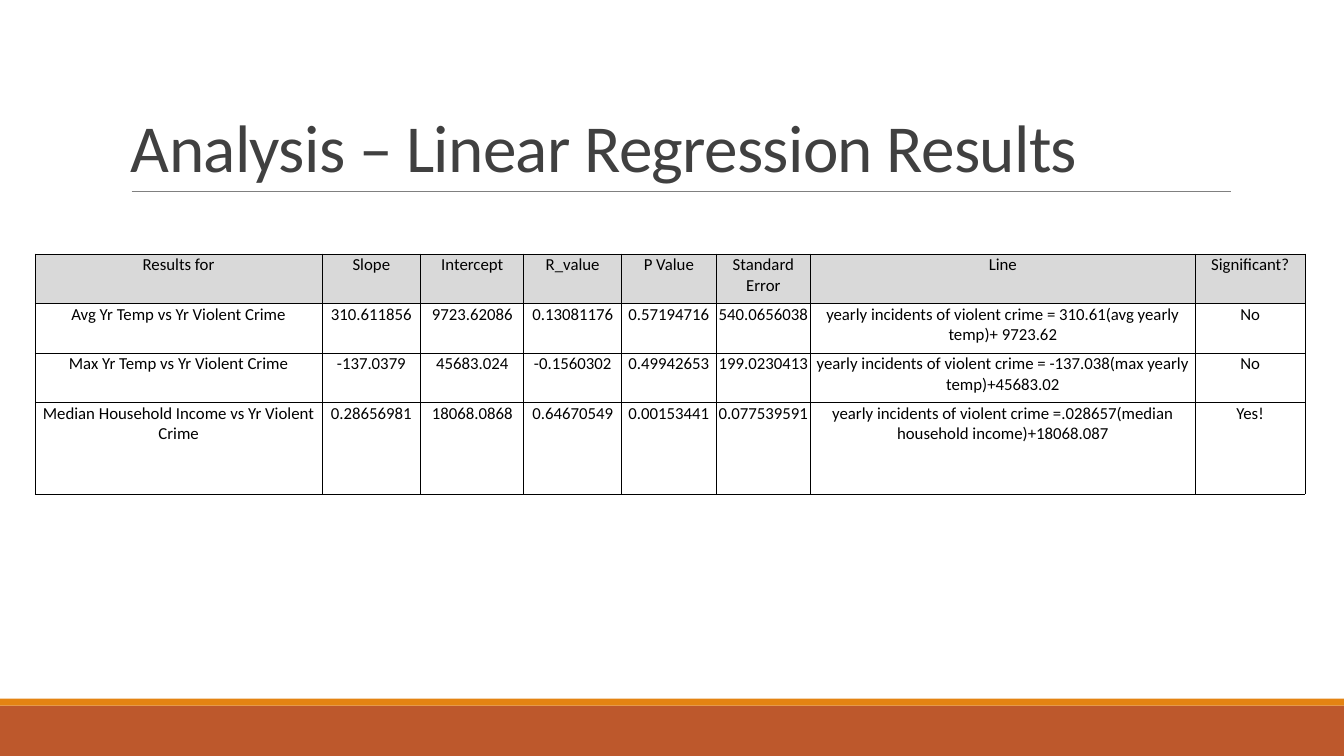
from pptx import Presentation
from pptx.dml.color import RGBColor
from pptx.enum.shapes import MSO_CONNECTOR, MSO_SHAPE
from pptx.enum.text import MSO_ANCHOR, PP_ALIGN
from pptx.oxml import parse_xml
from pptx.oxml.ns import nsdecls
from pptx.util import Pt
from lxml.etree import SubElement

BLACK = RGBColor(0x00, 0x00, 0x00)
TITLE_GRAY = RGBColor(0x40, 0x40, 0x40)
RULE_GRAY = RGBColor(0x80, 0x80, 0x80)
HEADER_GRAY = RGBColor(0xD9, 0xD9, 0xD9)
RUST = RGBColor(0xBD, 0x58, 0x2C)
ORANGE = RGBColor(0xE4, 0x83, 0x12)


def write_text(text_frame, text, size, color, align=PP_ALIGN.LEFT, line_spacing=1.0, tracking=0):
    text_frame.word_wrap = True
    paragraph = text_frame.paragraphs[0]
    paragraph.alignment = align
    paragraph.line_spacing = line_spacing
    run = paragraph.add_run()
    run.text = text
    run.font.name = "Calibri"
    run.font.size = Pt(size)
    run.font.color.rgb = color
    if tracking:
        run.font._element.set("spc", str(round(tracking * 100)))


def add_borders(cell, color, width):
    properties = cell._tc.get_or_add_tcPr()
    for index, side in enumerate(("lnL", "lnR", "lnT", "lnB")):
        border = parse_xml(
            f'<a:{side} {nsdecls("a")} w="{Pt(width)}"><a:solidFill>'
            f'<a:srgbClr val="{color}"/></a:solidFill></a:{side}>'
        )
        properties.insert(index, border)


presentation = Presentation()
presentation.slide_width = Pt(960)
presentation.slide_height = Pt(540)
slide = presentation.slides.add_slide(presentation.slide_layouts[6])

for top, height, color in ((504, 36, RUST), (499, 5, ORANGE)):
    band = slide.shapes.add_shape(MSO_SHAPE.RECTANGLE, Pt(0), Pt(top), Pt(960), Pt(height))
    band.shadow.inherit = False
    band.fill.solid()
    band.fill.fore_color.rgb = color
    band.line.fill.background()

title_rule = slide.shapes.add_connector(MSO_CONNECTOR.STRAIGHT, Pt(94), Pt(136.8), Pt(879), Pt(136.8))
title_rule.line.color.rgb = RULE_GRAY
title_rule.line.width = Pt(0.5)
SubElement(title_rule._element.spPr, "{http://schemas.openxmlformats.org/drawingml/2006/main}effectLst")

title = slide.shapes.add_textbox(Pt(86.4), Pt(22.5), Pt(792), Pt(114.3))
title.text_frame.vertical_anchor = MSO_ANCHOR.BOTTOM
write_text(title.text_frame, "Analysis – Linear Regression Results", size=48, color=TITLE_GRAY,
           line_spacing=0.85, tracking=-0.5)

results = (
    ("Results for", "Slope", "Intercept", "R_value", "P Value", "Standard Error", "Line", "Significant?"),
    ("Avg Yr Temp vs Yr Violent Crime", "310.611856", "9723.62086", "0.13081176", "0.57194716",
     "540.0656038", "yearly incidents of violent crime = 310.61(avg yearly temp)+ 9723.62", "No"),
    ("Max Yr Temp vs Yr Violent Crime", "-137.0379", "45683.024", "-0.1560302", "0.49942653",
     "199.0230413", "yearly incidents of violent crime = -137.038(max yearly temp)+45683.02", "No"),
    ("Median Household Income vs Yr Violent Crime", "0.28656981", "18068.0868", "0.64670549", "0.00153441",
     "0.077539591", "yearly incidents of violent crime =.028657(median household income)+18068.087", "Yes!"),
)
column_widths = (204.8, 70.6, 73.6, 69.9, 67.5, 67.5, 274.7, 78.6)
row_heights = (35.4, 35.4, 35.4, 65.3)

table = slide.shapes.add_table(
    len(row_heights), len(column_widths), Pt(25.2), Pt(181.4),
    Pt(sum(column_widths)), Pt(sum(row_heights)),
).table
for column, width in zip(table.columns, column_widths):
    column.width = Pt(width)
for row, height in zip(table.rows, row_heights):
    row.height = Pt(height)

for row_index, row_texts in enumerate(results):
    for column_index, text in enumerate(row_texts):
        cell = table.cell(row_index, column_index)
        cell.margin_left = cell.margin_right = cell.margin_top = Pt(0.7)
        cell.margin_bottom = Pt(0)
        if row_index == 0:
            cell.fill.solid()
            cell.fill.fore_color.rgb = HEADER_GRAY
        else:
            cell.fill.background()
        add_borders(cell, BLACK, 0.5)
        write_text(cell.text_frame, text, size=12, color=BLACK, align=PP_ALIGN.CENTER)

presentation.save("out.pptx")
